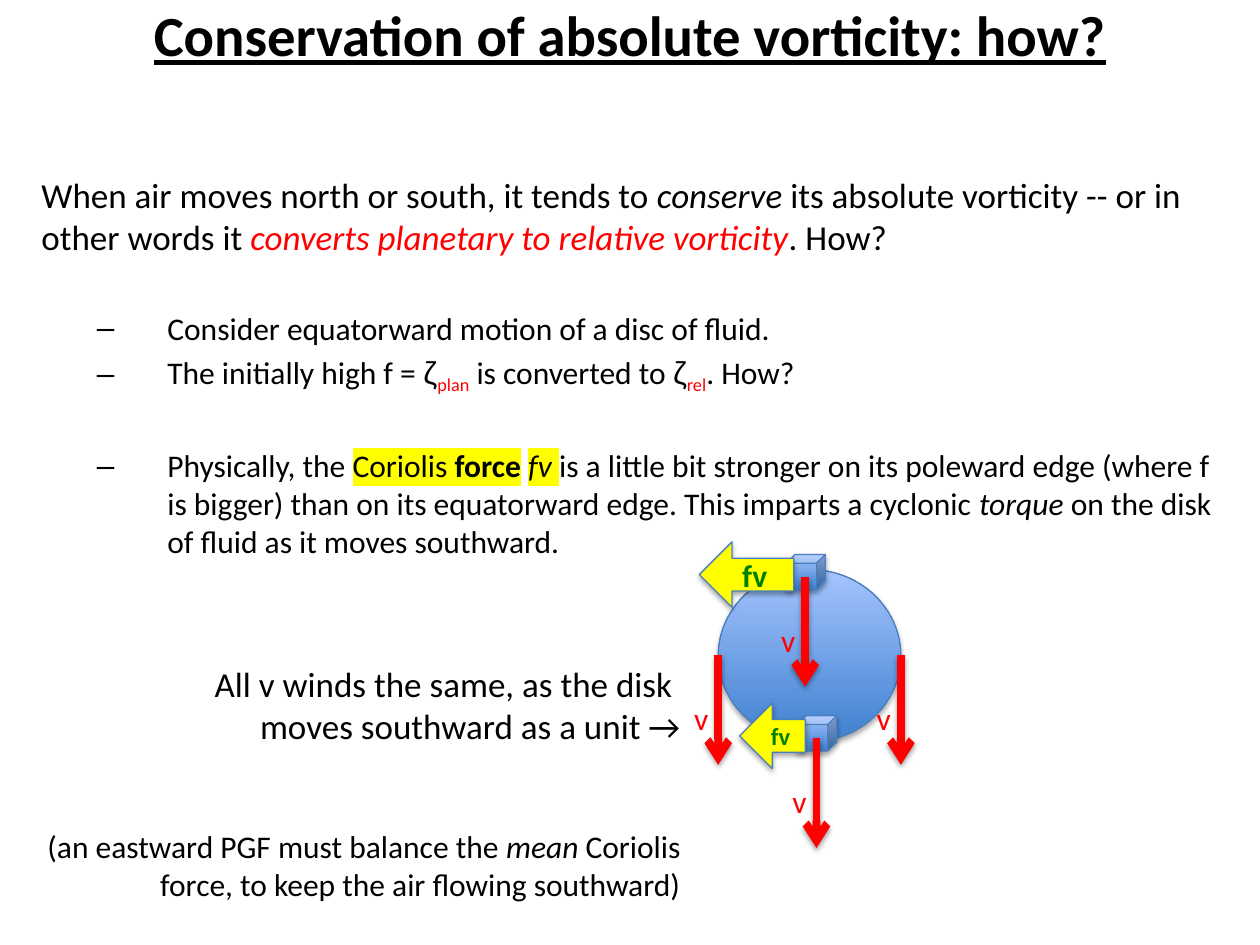
from dataclasses import dataclass

from lxml.etree import SubElement
from pptx import Presentation
from pptx.dml.color import RGBColor
from pptx.enum.shapes import MSO_CONNECTOR, MSO_SHAPE
from pptx.enum.text import MSO_ANCHOR, PP_ALIGN
from pptx.oxml.ns import qn
from pptx.util import Inches, Pt


@dataclass(frozen=True)
class Theme:
    """Colours, fonts and type sizes of the slide."""
    black: str = "000000"
    red: str = "FF0000"
    yellow: str = "FFFF00"
    green: str = "008000"
    outline: str = "4B7EBC"
    deep_blue: str = "3F80CE"
    pale_blue: str = "A4C4FF"
    font: str = "Calibri"
    greek: str = "Arial"
    title: float = 32.4
    lead: int = 20
    point: int = 18
    small: int = 14


T = Theme()
ITALIC = {"italic": True}
SUB = {"color": T.red, "baseline": -25}
GREEK = {"font": T.greek}
MARK = {"highlight": T.yellow}


def rgb(code):
    """Turn a hex code into a colour."""
    return RGBColor.from_string(code)


def add_run(p, text, size, color=T.black, font=T.font, bold=False, italic=False,
            underline=False, baseline=0, highlight=None):
    """Add one formatted run to a paragraph."""
    r = p.add_run()
    r.text = text
    f = r.font
    f.size, f.name, f.bold, f.italic, f.underline = Pt(size), font, bold, italic, underline
    f.color.rgb = rgb(color)
    rPr = r._r.get_or_add_rPr()
    if baseline:
        rPr.set("baseline", str(baseline * 1000))
    if highlight:
        mark = SubElement(rPr, qn("a:highlight"))
        SubElement(mark, qn("a:srgbClr"), val=highlight)
        rPr.find(qn("a:solidFill")).addnext(mark)


def add_text(slide, x, y, w, h, anchor=MSO_ANCHOR.TOP):
    """Add an empty wrapping text box and return its frame."""
    tf = slide.shapes.add_textbox(Inches(x), Inches(y), Inches(w), Inches(h)).text_frame
    tf.word_wrap = True
    tf.vertical_anchor = anchor
    return tf


def add_paragraph(tf, runs, size, before=0, align=PP_ALIGN.LEFT, bullet=None):
    """Fill the first empty paragraph, or a new one, with runs."""
    p = tf.paragraphs[0] if not tf.paragraphs[0].runs else tf.add_paragraph()
    p.alignment = align
    p.space_before = Pt(before)
    if bullet:
        pPr = p._p.get_or_add_pPr()
        pPr.set("marL", str(Inches(1)))
        pPr.set("indent", str(-Inches(0.56)))
        SubElement(pPr, qn("a:buFont"), typeface=T.greek)
        SubElement(pPr, qn("a:buChar"), char=bullet)
    for text, style in runs:
        add_run(p, text, size, **style)


def add_shadow(s, opacity, distance):
    """Give a shape or connector a soft shadow straight below it."""
    effects = SubElement(s._element.spPr, qn("a:effectLst"))
    shadow = SubElement(effects, qn("a:outerShdw"), blurRad=str(Pt(3.1)),
                        dist=str(Pt(distance)), dir="5400000", rotWithShape="0")
    color = SubElement(shadow, qn("a:srgbClr"), val=T.black)
    SubElement(color, qn("a:alpha"), val=str(opacity * 1000))


def add_solid(slide, kind, x, y, w, h, fill=None):
    """Add an outlined preset shape, blue gradient unless a fill is given."""
    s = slide.shapes.add_shape(kind, Inches(x), Inches(y), Inches(w), Inches(h))
    if fill:
        s.fill.solid()
        s.fill.fore_color.rgb = rgb(fill)
    else:
        s.fill.gradient()
        s.fill.gradient_angle = 90
        for stop, code in zip(s.fill.gradient_stops, (T.deep_blue, T.pale_blue)):
            stop.color.rgb = rgb(code)
    s.line.color.rgb = rgb(T.outline)
    s.line.width = Pt(0.75)
    add_shadow(s, 35, 1.8)
    return s


def add_wind(slide, x, y):
    """Draw a southward wind arrow with its v label on the left."""
    c = slide.shapes.add_connector(MSO_CONNECTOR.STRAIGHT, Inches(x), Inches(y),
                                   Inches(x), Inches(y + 0.87))
    c.line.color.rgb = rgb(T.red)
    c.line.width = Pt(4.5)
    SubElement(c.line._get_or_add_ln(), qn("a:tailEnd"), type="arrow")
    add_shadow(c, 38, 1.6)
    tf = add_text(slide, x - 0.29, y + 0.3, 0.29, 0.37)
    add_paragraph(tf, [("v", {"color": T.red})], T.point)


def add_parcel(slide, x, y, force, size):
    """Draw an air parcel with its Coriolis force and wind arrows."""
    add_solid(slide, MSO_SHAPE.CUBE, x, y, 0.31, 0.28)
    s = add_solid(slide, MSO_SHAPE.LEFT_ARROW, x + 0.06 - force, y - 0.1, force, 0.52, T.yellow)
    tf = s.text_frame
    tf.word_wrap = False
    tf.vertical_anchor = MSO_ANCHOR.MIDDLE
    tf.margin_left = tf.margin_right = 0
    add_paragraph(tf, [("fv", {"color": T.green, "bold": True})], size, align=PP_ALIGN.CENTER)
    add_wind(slide, x + 0.15, y + 0.18)


def add_disk(slide, x, y):
    """Draw the fluid disk with side winds and its two parcels."""
    w = 1.45
    add_solid(slide, MSO_SHAPE.OVAL, x, y, w, 1.37)
    for side in (x, x + w):
        add_wind(slide, side, y + 0.68)
    add_parcel(slide, x + 0.63, y + 1.16, 0.52, T.small)
    add_parcel(slide, x + 0.54, y - 0.12, 0.75, T.point)


def add_title(slide, x, y, w, h):
    """Place the underlined heading."""
    tf = add_text(slide, x, y, w, h, MSO_ANCHOR.MIDDLE)
    style = {"bold": True, "underline": True}
    add_paragraph(tf, [("Conservation of absolute vorticity: how?", style)], T.title,
                  align=PP_ALIGN.CENTER)


def add_body(slide, x, y, w, h):
    """Place the lead statement and the dashed points."""
    tf = add_text(slide, x, y, w, h)
    add_paragraph(tf, [
        ("When air moves north or south, it tends to ", {}), ("conserve", ITALIC),
        (" its absolute vorticity -- or in other words it ", {}),
        ("converts planetary to relative vorticity", {"color": T.red, **ITALIC}),
        (". How?", {})], T.lead)
    points = [
        (29, [("Consider equatorward motion of a disc of fluid.", {})]),
        (3.6, [("The initially high f = ", {}), ("ζ", GREEK), ("plan", SUB),
               (" is converted to ", {}), ("ζ", GREEK), ("rel", SUB), (". How?", {})]),
        (29, [("Physically, the ", {}), ("Coriolis ", MARK), ("force", {"bold": True, **MARK}),
              (" ", {"bold": True}), ("fv", {**ITALIC, **MARK}), (" ", MARK),
              ("is a little bit stronger on its poleward edge (where f is bigger) than on "
               "its equatorward edge. This imparts a cyclonic ", {}),
              ("torque", ITALIC), (" on the disk of fluid as it moves southward.", {})]),
    ]
    for before, runs in points:
        add_paragraph(tf, runs, T.point, before, bullet="–")


def add_remarks(slide, x, y, w, h):
    """Place the right-aligned remarks beside the disk."""
    tf = add_text(slide, x, y, w, h)
    right = PP_ALIGN.RIGHT
    add_paragraph(tf, [("All v winds the same, as the disk ", {})], T.lead, align=right)
    add_paragraph(tf, [("moves southward as a unit →", {})], T.lead, align=right)
    add_paragraph(tf, [("(an eastward PGF must balance the ", {}), ("mean", ITALIC),
                       (" Coriolis force, to keep the air flowing southward)", {})],
                  T.point, 46, right)


def main():
    """Build the slide and save it."""
    prs = Presentation()
    prs.slide_width, prs.slide_height = Inches(10), Inches(7.5)
    slide = prs.slides.add_slide(prs.slide_layouts[6])
    add_title(slide, 0.5, 0, 9, 0.54)
    add_body(slide, 0.23, 1.33, 9.55, 3.27)
    add_disk(slide, 5.7, 4.52)
    add_remarks(slide, 0.13, 5.21, 5.37, 2.02)
    prs.save("out.pptx")


if __name__ == "__main__":
    main()
